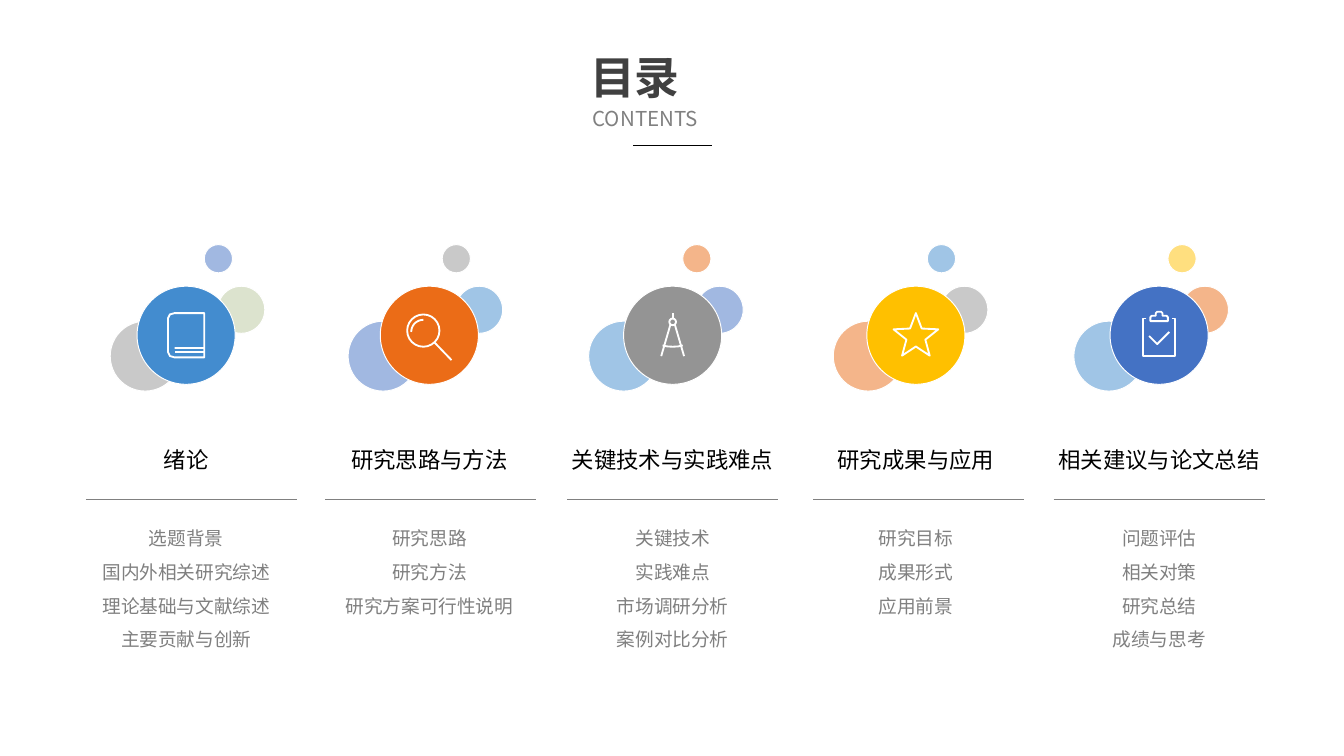
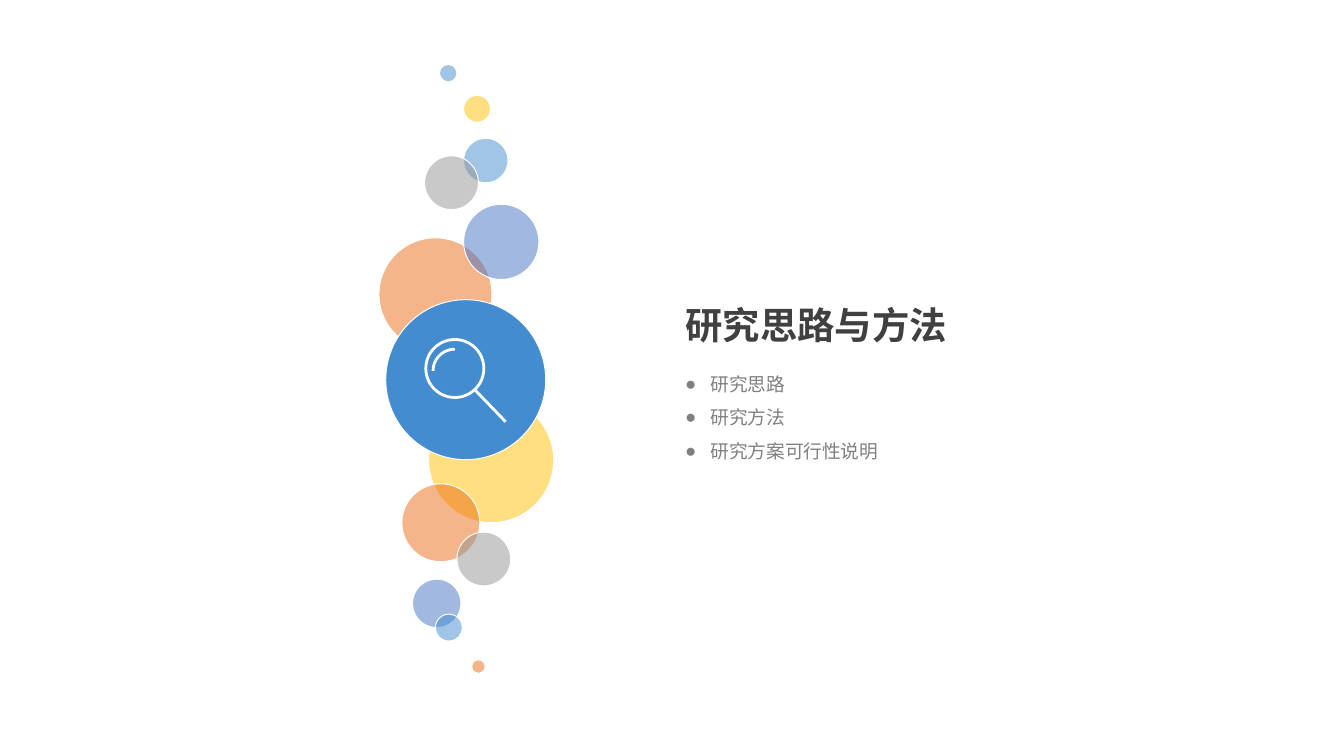
import math
from lxml import etree
from pptx import Presentation
from pptx.dml.color import RGBColor
from pptx.enum.shapes import MSO_CONNECTOR, MSO_SHAPE
from pptx.enum.text import MSO_ANCHOR, MSO_AUTO_SIZE, PP_ALIGN
from pptx.oxml.ns import qn
from pptx.util import Inches, Pt

OVAL = MSO_SHAPE.OVAL
STRAIGHT = MSO_CONNECTOR.STRAIGHT
LEFT, CENTER, JUSTIFY = PP_ALIGN.LEFT, PP_ALIGN.CENTER, PP_ALIGN.JUSTIFY

FONT = "Noto Sans CJK SC"
BLUE, ORANGE, GREY, YELLOW = "438CCF", "EB6C17", "949494", "FFC000"
INDIGO, GREEN = "4472C4", "BAC99E"
WHITE, BLACK, DARK, MUTED = "FFFFFF", "000000", "404040", "808080"

# Each chapter: name, topics, icon, left of bubbles, left of rule,
# colours of badge and of left, right and top bubble
CHAPTERS = [
    ("绪论", ["选题背景", "国内外相关研究综述", "理论基础与文献综述", "主要贡献与创新"],
     "book", 0.82, 0.64, (BLUE, GREY, GREEN, INDIGO)),
    ("研究思路与方法", ["研究思路", "研究方法", "研究方案可行性说明"],
     "magnifier", 2.59, 2.42, (ORANGE, INDIGO, BLUE, GREY)),
    ("关键技术与实践难点", ["关键技术", "实践难点", "市场调研分析", "案例对比分析"],
     "compass", 4.38, 4.22, (GREY, BLUE, INDIGO, ORANGE)),
    ("研究成果与应用", ["研究目标", "成果形式", "应用前景"],
     "star", 6.2, 6.05, (YELLOW, ORANGE, GREY, BLUE)),
    ("相关建议与论文总结", ["问题评估", "相关对策", "研究总结", "成绩与思考"],
     "clipboard", 7.99, 7.84, (INDIGO, BLUE, ORANGE, YELLOW)),
]
BADGE_LEFT, BADGE_TOP, BADGE_SIZE, BADGE_STEP = 1.02, 2.13, 0.73, 1.81
# Bubble offset from the left one, top, diameter
CLUSTER = [(0, 2.39, 0.52), (0.8, 2.13, 0.35), (0.7, 1.82, 0.21)]

# Bubbles of the chapter slide: left, top, diameter, colour
COLUMN_BUBBLES = [
    (3.19, 2.96, 0.93, YELLOW), (2.99, 3.6, 0.58, ORANGE),
    (3.07, 4.31, 0.36, INDIGO), (3.4, 3.96, 0.4, GREY),
    (3.24, 4.57, 0.2, BLUE), (3.51, 4.91, 0.1, ORANGE),
    (2.82, 1.77, 0.84, ORANGE), (3.45, 1.52, 0.56, INDIGO),
    (3.45, 1.03, 0.33, BLUE), (3.16, 1.16, 0.4, GREY),
    (3.45, 0.71, 0.2, YELLOW), (3.27, 0.48, 0.13, BLUE),
]


def polar(cx, cy, radius, degrees):
    a = math.radians(degrees)
    return cx + radius * math.cos(a), cy + radius * math.sin(a)


# Icon strokes, in hundredths of an inch from the centre of the badge
ICONS = {
    "book": [
        ("open", [(13.5, -12.5), (13.5, 16.5), (-8.5, 16.5), (-12, 15.5),
                  (-13.5, 12.5), (-13.5, -12.5), (-12, -15.5), (-8.5, -16.5),
                  (13.5, -16.5), (13.5, 9.5), (-8.5, 9.5)]),
        ("line", [(13.5, 12.5), (-8.5, 12.5)]),
    ],
    "magnifier": [
        ("oval", (-4.5, -3.5, 24)),
        ("open", [polar(-4.5, -2.5, 9, d) for d in range(180, 271, 10)]),
        ("line", [(4, 5.5), (16.5, 18.5)]),
    ],
    "compass": [
        ("oval", (0, -10, 5)),
        ("open", [(-7.5, 7.5), (-4, 8.3), (0, 8.5), (4, 8.3), (7.5, 7.5)]),
        ("line", [(8.5, 15.5), (1.5, -8.5)]),
        ("line", [(-8.5, 15.5), (-1.5, -8.5)]),
        ("line", [(0, -12.5), (0, -16.5)]),
    ],
    "star": [
        ("closed", [polar(0, 1, 7.4 if i % 2 else 17.5, 36 * i - 90)
                    for i in range(10)]),
    ],
    "clipboard": [
        ("open", [(-7.5, 0.5), (-1.5, 6.5), (7.5, -2.5)]),
        ("open", [(-9.5, -12.5), (-12, -12.5), (-12, 15.5),
                  (12, 15.5), (12, -12.5), (9.5, -12.5)]),
        ("closed", [(-1.5, -17.5), (-2.5, -16.5), (-2.5, -14.5), (-5.5, -14.5),
                    (-6.5, -13.5), (-6.5, -10.5), (6.5, -10.5), (6.5, -13.5),
                    (5.5, -14.5), (2.5, -14.5), (2.5, -16.5), (1.5, -17.5)]),
    ],
}


def rgb(color):
    return RGBColor.from_string(color)


def set_line(sp, color, width):
    sp.line.color.rgb = rgb(color)
    sp.line.width = Pt(width)


def add_line(shapes, start, end, color, width):
    cx = shapes.add_connector(STRAIGHT, *map(Inches, (*start, *end)))
    set_line(cx, color, width)
    etree.SubElement(cx._element.spPr, qn("a:effectLst"))


def add_circle(shapes, left, top, size, fill=None, alpha=None, width=0.5):
    sp = shapes.add_shape(OVAL, *map(Inches, (left, top, size, size)))
    sp.shadow.inherit = False
    if fill:
        sp.fill.solid()
        sp.fill.fore_color.rgb = rgb(fill)
    else:
        sp.fill.background()
    if alpha:
        clr = sp._element.spPr.find(qn("a:solidFill")).find(qn("a:srgbClr"))
        etree.SubElement(clr, qn("a:alpha")).set("val", str(alpha * 1000))
    set_line(sp, WHITE, width)


def add_icon(s, name, cx, cy, scale=1, width=1):
    shapes = s.shapes.add_group_shape().shapes

    def place(x, y):
        return cx + x * scale / 100, cy + y * scale / 100

    for kind, data in ICONS[name]:
        if kind == "oval":
            x, y, d = data
            add_circle(shapes, *place(x - d / 2, y - d / 2), d * scale / 100, width=width)
            continue
        points = [place(*pt) for pt in data]
        if kind == "line":
            add_line(shapes, *points, WHITE, width)
            continue
        emu = [(Inches(x), Inches(y)) for x, y in points]
        fb = shapes.build_freeform(*emu[0])
        fb.add_line_segments(emu[1:], close=kind == "closed")
        sp = fb.convert_to_shape()
        sp.shadow.inherit = False
        sp.fill.background()
        set_line(sp, WHITE, width)


def write(sp, lines, size, color, align=LEFT, bold=False, spacing=1.0,
          bullet=False, wrap=True):
    tf = sp.text_frame
    tf.text = "\n".join(lines)
    tf.word_wrap = wrap
    tf.auto_size = MSO_AUTO_SIZE.NONE
    tf.vertical_anchor = MSO_ANCHOR.TOP
    for p in tf.paragraphs:
        p.alignment = align
        p.line_spacing = spacing
        if bullet:
            pPr = p._p.get_or_add_pPr()
            pPr.set("marL", str(Inches(0.19)))
            pPr.set("indent", str(-Inches(0.19)))
            etree.SubElement(pPr, qn("a:buFont")).set("typeface", "Arial")
            etree.SubElement(pPr, qn("a:buChar")).set("char", "●")
        for r in p.runs:
            r.font.size, r.font.bold = Pt(size), bold
            r.font.color.rgb = rgb(color)
            r.font.name = FONT
            etree.SubElement(r._r.get_or_add_rPr(), qn("a:ea")).set("typeface", FONT)


def add_text(s, box, lines, *style, **more):
    write(s.shapes.add_textbox(*map(Inches, box)), lines, *style, **more)


def add_title(s, box, text, size, align):
    sp = s.shapes.title
    sp.left, sp.top, sp.width, sp.height = map(Inches, box)
    write(sp, [text], size, DARK, align, bold=True)


def add_centered(s, cx, top, height, lines, size, color, spacing=1.0):
    """Text box as wide as its longest line, centred on cx."""
    width = max(map(len, lines)) * size / 72 + 0.2
    add_text(s, (cx - width / 2, top, width, height), lines, size, color,
             CENTER, spacing=spacing, wrap=False)


def contents_slide(s):
    add_title(s, (4.29, 0.32, 1.42, 0.5), "目录", 24, JUSTIFY)
    add_text(s, (4.31, 0.74, 1.38, 0.29), ["CONTENTS"], 11, MUTED, JUSTIFY)
    add_line(s.shapes, (4.71, 1.08), (5.3, 1.08), BLACK, 0.5)
    for i, (name, topics, icon, left, rule, colors) in enumerate(CHAPTERS):
        badge = BADGE_LEFT + i * BADGE_STEP
        cx = badge + BADGE_SIZE / 2
        for (dx, top, size), color in zip(CLUSTER, colors[1:]):
            add_circle(s.shapes, left + dx, top, size, color, alpha=50)
        add_circle(s.shapes, badge, BADGE_TOP, BADGE_SIZE, colors[0])
        add_icon(s, icon, cx, BADGE_TOP + BADGE_SIZE / 2)
        add_centered(s, cx, 3.27, 0.3, [name], 12, BLACK)
        add_line(s.shapes, (rule, 3.72), (rule + 1.57, 3.72), MUTED, 0.5)
        add_centered(s, cx, 3.79, 0.1 + 0.25 * len(topics), topics, 10, MUTED, 1.5)


def chapter_slide(s, chapter):
    name, topics, icon = chapter[:3]
    add_title(s, (5, 2.2, 2.99, 0.44), name, 20, LEFT)
    add_text(s, (5, 2.64, 1.65, 0.86), topics, 10, MUTED,
             spacing=1.5, bullet=True, wrap=False)
    for left, top, size, color in COLUMN_BUBBLES:
        add_circle(s.shapes, left, top, size, color, alpha=50)
    left, top, size = 2.87, 2.23, 1.19
    add_circle(s.shapes, left, top, size, BLUE)
    add_icon(s, icon, left + size / 2, top + size / 2 - 0.02, scale=1.8, width=1.5)


def main():
    prs = Presentation()
    prs.slide_width = Inches(10)
    prs.slide_height = prs.slide_width * 9 // 16
    title_only = prs.slide_layouts[5]
    contents_slide(prs.slides.add_slide(title_only))
    chapter_slide(prs.slides.add_slide(title_only), CHAPTERS[1])
    prs.save("out.pptx")


if __name__ == "__main__":
    main()
